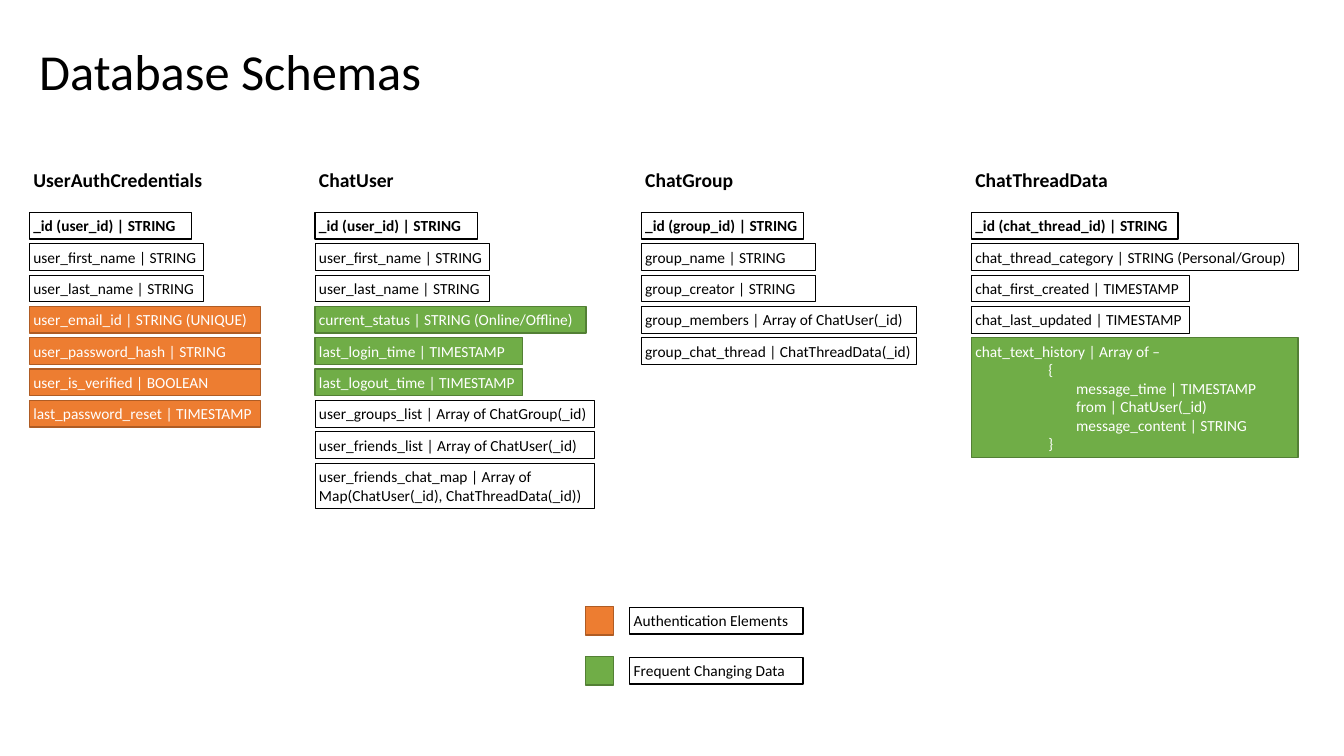
from pptx import Presentation
from pptx.dml.color import RGBColor
from pptx.enum.shapes import MSO_SHAPE
from pptx.enum.text import MSO_ANCHOR, MSO_AUTO_SIZE, PP_ALIGN
from pptx.util import Cm, Pt

RECTANGLE = MSO_SHAPE.RECTANGLE
MIDDLE = MSO_ANCHOR.MIDDLE
TOP = MSO_ANCHOR.TOP
LEFT = PP_ALIGN.LEFT
GROW = MSO_AUTO_SIZE.SHAPE_TO_FIT_TEXT

FONT = "Calibri"
COLORS = {
    "white": "FFFFFF",
    "black": "000000",
    "orange": "ED7D31",
    "dark_orange": "AF5C24",
    "green": "70AD47",
    "dark_green": "538035",
}

BOX_STYLES = {
    "key": ("white", "black", 1),
    "plain": ("white", "black", 0.5),
    "legend": ("white", "black", 1),
    "auth": ("orange", "dark_orange", 1),
    "frequent": ("green", "dark_green", 1),
}
TEXT_STYLES = {
    "heading": (14, "black", True),
    "key": (11, "black", True),
    "plain": (11, "black", False),
    "legend": (11, "black", False),
    "auth": (11, "white", False),
    "frequent": (11, "white", False),
}

ROW_HEIGHT = 0.67
ROW_PITCH = 0.79
HEADING_WIDTH = 4.6
HEADING_HEIGHT = 0.81
FIRST_ROW_OFFSET = 1.22
SCHEMA_TOP = 4.13
BRACE_INDENT = 1.84
MESSAGE_INDENT = 2.54

SCHEMAS = [
    (0.74, "UserAuthCredentials", [
        ("_id (user_id) | STRING", 4.09, "key"),
        ("user_first_name | STRING", 4.39, "plain"),
        ("user_last_name | STRING", 4.39, "plain"),
        ("user_email_id | STRING (UNIQUE)", 5.82, "auth"),
        ("user_password_hash | STRING", 5.82, "auth"),
        ("user_is_verified | BOOLEAN", 5.82, "auth"),
        ("last_password_reset | TIMESTAMP", 5.82, "auth"),
    ]),
    (7.94, "ChatUser", [
        ("_id (user_id) | STRING", 4.09, "key"),
        ("user_first_name | STRING", 4.39, "plain"),
        ("user_last_name | STRING", 4.39, "plain"),
        ("current_status | STRING (Online/Offline)", 6.83, "frequent"),
        ("last_login_time | TIMESTAMP", 5.23, "frequent"),
        ("last_logout_time | TIMESTAMP", 5.23, "frequent"),
        ("user_groups_list | Array of ChatGroup(_id)", 7.04, "plain"),
        ("user_friends_list | Array of ChatUser(_id)", 7.04, "plain"),
        ("user_friends_chat_map | Array of Map(ChatUser(_id), ChatThreadData(_id))",
         7.04, "plain", 1.14),
    ]),
    (16.16, "ChatGroup", [
        ("_id (group_id) | STRING", 4.09, "key"),
        ("group_name | STRING", 4.39, "plain"),
        ("group_creator | STRING", 4.39, "plain"),
        ("group_members | Array of ChatUser(_id)", 6.93, "plain"),
        ("group_chat_thread | ChatThreadData(_id)", 6.93, "plain"),
    ]),
    (24.48, "ChatThreadData", [
        ("_id (chat_thread_id) | STRING", 5.21, "key"),
        ("chat_thread_category | STRING (Personal/Group)", 8.23, "plain"),
        ("chat_first_created | TIMESTAMP", 5.49, "plain"),
        ("chat_last_updated | TIMESTAMP", 5.49, "plain"),
        ([("chat_text_history | Array of –", 0),
          ("{", BRACE_INDENT),
          ("message_time | TIMESTAMP", MESSAGE_INDENT),
          ("from | ChatUser(_id)", MESSAGE_INDENT),
          ("message_content | STRING", MESSAGE_INDENT),
          ("}", BRACE_INDENT)], 8.23, "frequent", 3.02),
    ]),
]

LEGEND = [("Authentication Elements", "auth"), ("Frequent Changing Data", "frequent")]


def color(name):
    return RGBColor.from_string(COLORS[name])


def add_run(paragraph, text, size, color_name, bold):
    run = paragraph.add_run()
    run.text = text
    run.font.name = FONT
    run.font.size = Pt(size)
    run.font.bold = bold
    run.font.color.rgb = color(color_name)


def add_box(slide, left, top, width, height, style):
    fill, line, line_width = BOX_STYLES[style]
    shape = slide.shapes.add_shape(RECTANGLE, Cm(left), Cm(top), Cm(width), Cm(height))
    shape.shadow.inherit = False
    shape.fill.solid()
    shape.fill.fore_color.rgb = color(fill)
    shape.line.color.rgb = color(line)
    shape.line.width = Pt(line_width)
    return shape


def add_text(shape, content, style):
    lines = [(content, 0)] if isinstance(content, str) else content
    frame = shape.text_frame
    frame.word_wrap = True
    frame.auto_size = GROW
    frame.vertical_anchor = MIDDLE if len(lines) == 1 else TOP
    frame.margin_left = frame.margin_right = Cm(0.1)
    frame.margin_top = frame.margin_bottom = Cm(0.1)
    for index, (text, indent) in enumerate(lines):
        paragraph = frame.add_paragraph() if index else frame.paragraphs[0]
        paragraph.alignment = LEFT
        if indent:
            paragraph._p.get_or_add_pPr().set("marL", str(Cm(indent)))
        add_run(paragraph, text, *TEXT_STYLES[style])


def add_title(slide, left, top, width, height):
    shape = slide.shapes.add_textbox(Cm(left), Cm(top), Cm(width), Cm(height))
    frame = shape.text_frame
    frame.word_wrap = True
    frame.vertical_anchor = MIDDLE
    paragraph = frame.paragraphs[0]
    paragraph.line_spacing = 0.9
    add_run(paragraph, "Database Schemas", 36, "black", False)


def add_schema(slide, left, top, name, fields):
    heading = slide.shapes.add_textbox(
        Cm(left), Cm(top), Cm(HEADING_WIDTH), Cm(HEADING_HEIGHT))
    add_text(heading, name, "heading")
    for index, (content, width, style, *height) in enumerate(fields):
        row_top = top + FIRST_ROW_OFFSET + index * ROW_PITCH
        row_height = height[0] if height else ROW_HEIGHT
        add_text(add_box(slide, left, row_top, width, row_height, style), content, style)


def add_legend(slide, left, top):
    for index, (text, style) in enumerate(LEGEND):
        row_top = top + index * 1.26
        add_box(slide, left, row_top, 0.71, 0.71, style)
        label = add_box(slide, left + 1.11, row_top + 0.02, 4.37, ROW_HEIGHT, "legend")
        add_text(label, text, "legend")


def main():
    presentation = Presentation()
    presentation.slide_width = Cm(33.87)
    presentation.slide_height = Cm(19.05)
    slide = presentation.slides.add_slide(presentation.slide_layouts[6])
    add_title(slide, 0.74, 0.95, 29.21, 1.83)
    for left, name, fields in SCHEMAS:
        add_schema(slide, left, SCHEMA_TOP, name, fields)
    add_legend(slide, 14.76, 15.29)
    presentation.save("out.pptx")


if __name__ == "__main__":
    main()
